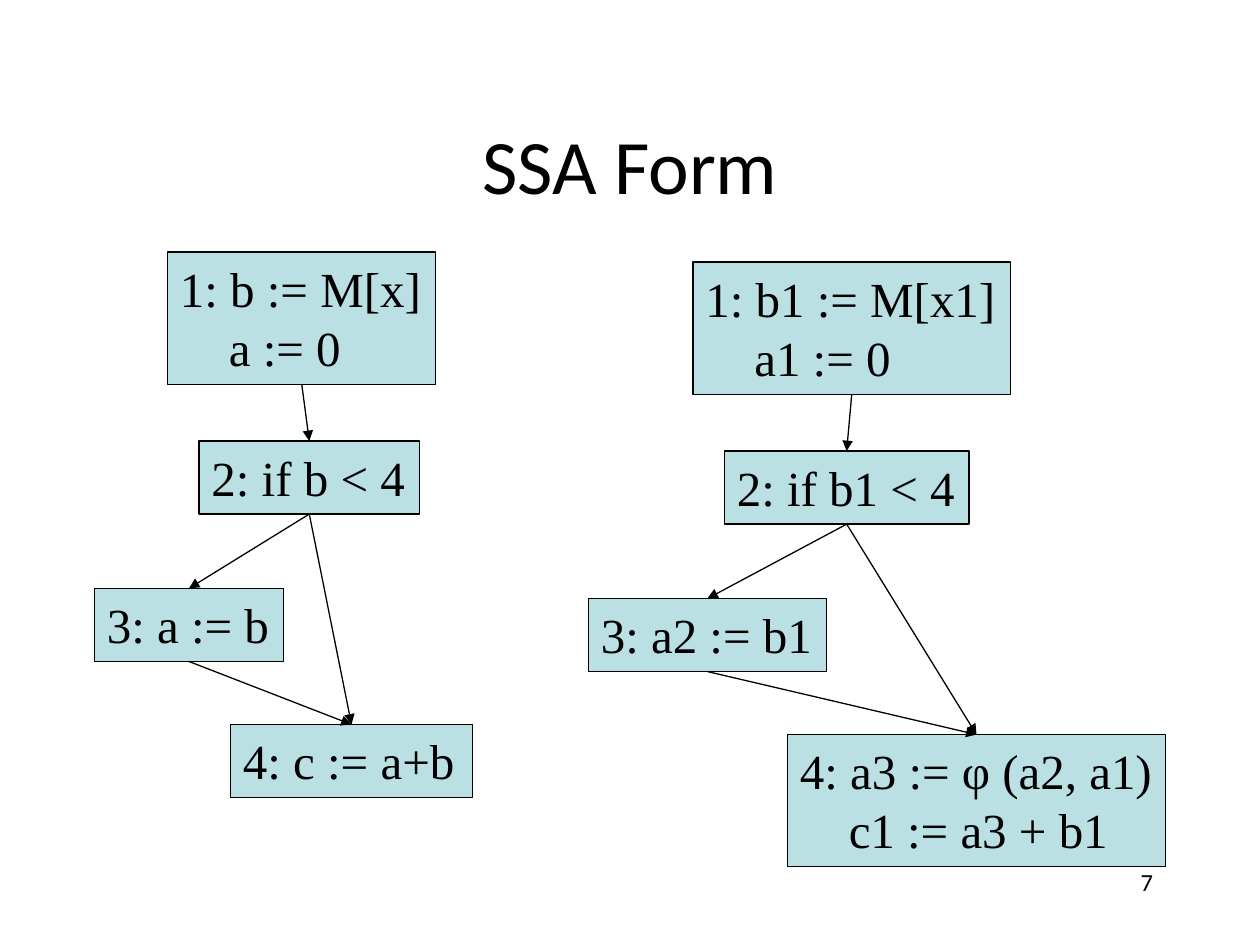
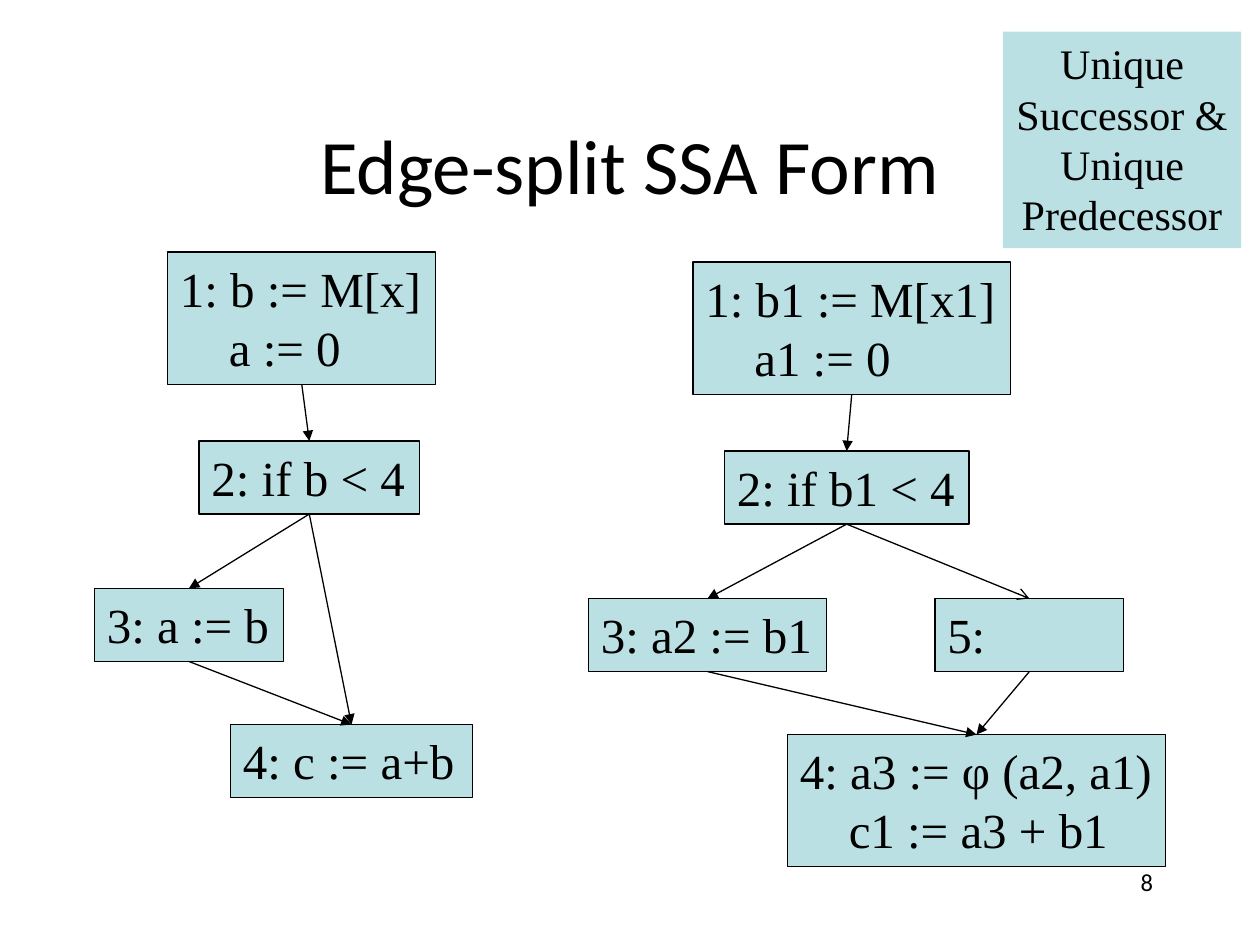
from lxml import etree
from pptx import Presentation
from pptx.dml.color import RGBColor
from pptx.enum.shapes import MSO_CONNECTOR, MSO_SHAPE
from pptx.enum.text import MSO_ANCHOR, MSO_AUTO_SIZE, PP_ALIGN
from pptx.oxml.ns import qn
from pptx.util import Inches, Pt

RECT = MSO_SHAPE.RECTANGLE
STRAIGHT = MSO_CONNECTOR.STRAIGHT
LEFT, CENTER, RIGHT = PP_ALIGN.LEFT, PP_ALIGN.CENTER, PP_ALIGN.RIGHT
TOP, MIDDLE = MSO_ANCHOR.TOP, MSO_ANCHOR.MIDDLE
GROW = MSO_AUTO_SIZE.SHAPE_TO_FIT_TEXT
BOTTOM_SITE, TOP_SITE = 2, 0

COLORS = {"ink": "000000", "block": "BBE0E3", "page": "FFFFFF"}
HEAD_FONT, BODY_FONT = "Calibri", "Times New Roman"
ONE_LINE, TWO_LINES = 0.58, 1.05

# Basic blocks: number -> (left, top, width, wrap, lines)
SOURCE_BLOCKS = {
    1: (1.33, 2, 2.13, False, ["1: b := M[x]", "    a := 0"]),
    2: (1.58, 3.5, 1.75, False, ["2: if b < 4"]),
    3: (0.75, 4.67, 1.5, False, ["3: a := b"]),
    4: (1.83, 5.75, 1.92, True, ["4: c := a+b"]),
}
SSA_BLOCKS = {
    1: (5.5, 2.08, 2.52, False, ["1: b1 := M[x1]", "    a1 := 0"]),
    2: (5.75, 3.58, 1.94, False, ["2: if b1 < 4"]),
    3: (4.67, 4.75, 1.89, False, ["3: a2 := b1"]),
    4: (6.25, 5.83, 3, True, ["4: a3 := φ (a2, a1)", "    c1 := a3 + b1"]),
}
SPLIT_BLOCKS = {**SSA_BLOCKS, 5: (7.42, 4.75, 1.5, True, ["5:"])}

# Edges: (from block, to block, arrowhead)
BRANCH = [(1, 2, "triangle"), (2, 3, "triangle"), (3, 4, "triangle")]
JOINED = BRANCH + [(2, 4, "triangle")]
SPLIT = BRANCH + [(5, 4, "triangle"), (2, 5, "arrow")]


def rgb(name):
    return RGBColor.from_string(COLORS[name])


class Deck:
    def __init__(self):
        self.prs = Presentation()
        self.prs.slide_width = Inches(10)
        self.prs.slide_height = Inches(7.5)
        self.s = None

    def slide(self, title, number):
        self.s = self.prs.slides.add_slide(self.prs.slide_layouts[6])
        self.s.background.fill.solid()
        self.s.background.fill.fore_color.rgb = rgb("page")
        self.label(7.17, 6.83, 2.08, 0.5, str(number), 14, RIGHT, TOP)
        self.label(0.75, 0.67, 8.5, 1.25, title, 44, CENTER, MIDDLE)

    def add_lines(self, tf, lines, font, size, align):
        for i, line in enumerate(lines):
            p = tf.add_paragraph() if i else tf.paragraphs[0]
            p.alignment = align
            r = p.add_run()
            r.text = line
            r.font.name = font
            r.font.size = Pt(size)
            r.font.color.rgb = rgb("ink")

    def label(self, x, y, w, h, text, size, align, anchor):
        sp = self.s.shapes.add_textbox(Inches(x), Inches(y), Inches(w), Inches(h))
        tf = sp.text_frame
        tf.word_wrap = True
        tf.vertical_anchor = anchor
        self.add_lines(tf, [text], HEAD_FONT, size, align)

    def box(self, x, y, w, h, lines, size=28, align=LEFT, wrap=False, outline=True):
        sp = self.s.shapes.add_shape(RECT, Inches(x), Inches(y), Inches(w), Inches(h))
        sp.shadow.inherit = False
        sp.fill.solid()
        sp.fill.fore_color.rgb = rgb("block")
        if outline:
            sp.line.color.rgb = rgb("ink")
            sp.line.width = Pt(0.75)
        else:
            sp.line.fill.background()
        tf = sp.text_frame
        tf.word_wrap = wrap
        tf.auto_size = GROW
        tf.vertical_anchor = TOP
        self.add_lines(tf, lines, BODY_FONT, size, align)
        return sp

    def arrow(self, start, end, head):
        line = self.s.shapes.add_connector(STRAIGHT, 0, 0, 0, 0)
        line.begin_connect(start, BOTTOM_SITE)
        line.end_connect(end, TOP_SITE)
        line.line.color.rgb = rgb("ink")
        line.line.width = Pt(0.75)
        props = line.element.spPr
        etree.SubElement(props.find(qn("a:ln")), qn("a:tailEnd"), type=head)
        etree.SubElement(props, qn("a:effectLst"))

    def flow_graph(self, blocks, edges):
        nodes = {}
        for number, (x, y, w, wrap, lines) in blocks.items():
            h = ONE_LINE if len(lines) == 1 else TWO_LINES
            nodes[number] = self.box(x, y, w, h, lines, wrap=wrap)
        for start, end, head in edges:
            self.arrow(nodes[start], nodes[end], head)


def main():
    deck = Deck()

    # SSA form
    deck.slide("SSA Form", 7)
    deck.flow_graph(SOURCE_BLOCKS, JOINED)
    deck.flow_graph(SSA_BLOCKS, JOINED)

    # Edge-split form, with an extra block on the critical edge
    deck.slide("Edge-split SSA Form", 8)
    deck.flow_graph(SOURCE_BLOCKS, JOINED)
    deck.flow_graph(SPLIT_BLOCKS, SPLIT)
    deck.box(7.96, 0.25, 1.89, 1.72,
             ["Unique", "Successor &", "Unique", "Predecessor"],
             size=24, align=CENTER, outline=False)

    deck.prs.save("out.pptx")


if __name__ == "__main__":
    main()
